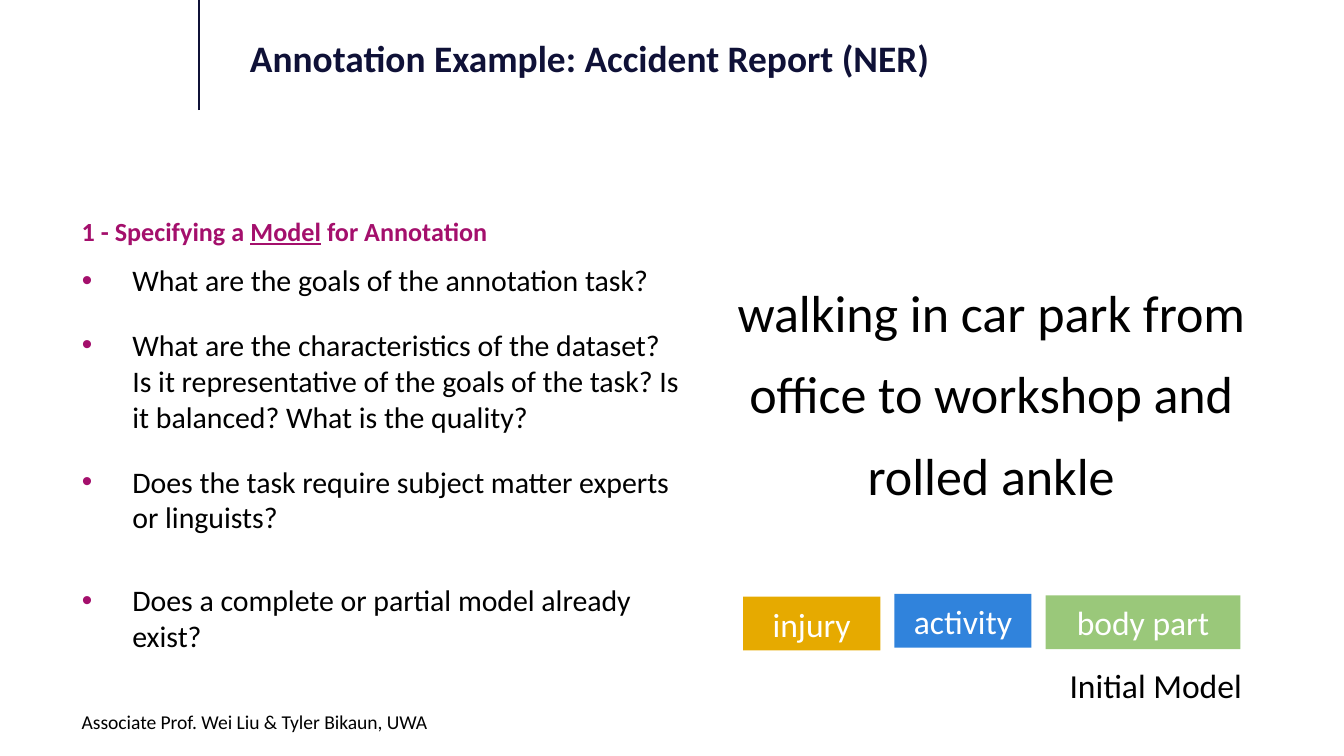
from dataclasses import dataclass

from lxml import etree
from pptx import Presentation
from pptx.dml.color import RGBColor
from pptx.enum.shapes import MSO_CONNECTOR, MSO_SHAPE
from pptx.enum.text import MSO_ANCHOR, MSO_AUTO_SIZE, PP_ALIGN
from pptx.oxml.ns import qn
from pptx.util import Inches, Pt

LEFT, CENTER = PP_ALIGN.LEFT, PP_ALIGN.CENTER
TOP, MIDDLE = MSO_ANCHOR.TOP, MSO_ANCHOR.MIDDLE
FIXED = MSO_AUTO_SIZE.NONE
RECTANGLE = MSO_SHAPE.RECTANGLE
STRAIGHT = MSO_CONNECTOR.STRAIGHT
TITLE_AND_CONTENT = 1
WIDTH = 10
HEIGHT = WIDTH * 9 / 16
COLUMNS = 100


@dataclass(frozen=True)
class Theme:
    font: str = "Calibri"
    navy: str = "0F1137"
    magenta: str = "A40F6C"
    black: str = "000000"
    white: str = "FFFFFF"
    amber: str = "E6AA00"
    blue: str = "3083DC"
    green: str = "9AC87A"
    title: float = 20
    heading: float = 14
    body: float = 16
    sample: float = 27.9
    label: float = 18
    credit: float = 10.5
    rule: float = 1.25


class SlideBuilder:
    def __init__(self, deck, theme):
        self.theme = theme
        self.slide = deck.slides.add_slide(deck.slide_layouts[TITLE_AND_CONTENT])
        self.cell = WIDTH / COLUMNS

    def grid(self, *cells):
        return [Inches(count * self.cell) for count in cells]

    def place(self, holder, area):
        holder.left, holder.top, holder.width, holder.height = self.grid(*area)

    def frame(self, holder, anchor, wrap=True):
        frame = holder.text_frame
        frame.auto_size = FIXED
        frame.word_wrap = wrap
        frame.vertical_anchor = anchor
        return frame

    def run(self, paragraph, words, size, color, bold=False, underline=False):
        piece = paragraph.add_run()
        piece.text = words
        font = piece.font
        font.name = self.theme.font
        font.size = Pt(size)
        font.bold = bold
        font.underline = underline
        font.color.rgb = RGBColor.from_string(color)

    def title(self, words, area):
        heading = self.slide.shapes.title
        self.place(heading, area)
        paragraph = self.frame(heading, TOP).paragraphs[0]
        paragraph.alignment = LEFT
        self.run(paragraph, words, self.theme.title, self.theme.navy, bold=True)

    def bullet(self, paragraph, hang):
        properties = paragraph._p.get_or_add_pPr()
        properties.set("marL", str(hang))
        properties.set("indent", str(-hang))
        tint = etree.SubElement(properties, qn("a:buClr"))
        etree.SubElement(tint, qn("a:srgbClr"), val=self.theme.magenta)
        etree.SubElement(properties, qn("a:buChar"), char="•")

    def bullets(self, items, area, hang):
        body = self.slide.placeholders[1]
        self.place(body, area)
        frame = self.frame(body, TOP)
        for index, (words, space) in enumerate(items):
            paragraph = frame.add_paragraph() if index else frame.paragraphs[0]
            self.bullet(paragraph, self.grid(hang)[0])
            paragraph.space_before = Pt(space)
            self.run(paragraph, words, self.theme.body, self.theme.black)

    def text(self, words, area, size, color=None, align=LEFT,
             bold=False, underlined="", spacing=1, wrap=True):
        box = self.slide.shapes.add_textbox(*self.grid(*area))
        paragraph = self.frame(box, TOP, wrap).paragraphs[0]
        paragraph.alignment = align
        paragraph.line_spacing = spacing
        for part in words:
            self.run(paragraph, part, size, color or self.theme.black,
                     bold, part == underlined)

    def tag(self, words, area, fill):
        block = self.slide.shapes.add_shape(RECTANGLE, *self.grid(*area))
        block.shadow.inherit = False
        block.fill.solid()
        block.fill.fore_color.rgb = RGBColor.from_string(fill)
        block.line.fill.background()
        paragraph = self.frame(block, MIDDLE).paragraphs[0]
        paragraph.alignment = CENTER
        self.run(paragraph, words, self.theme.label, self.theme.white)

    def tags(self, entries, left, height, gap):
        for words, top, width, fill in entries:
            self.tag(words, (left, top, width, height), fill)
            left += width + gap

    def rule(self, ends):
        line = self.slide.shapes.add_connector(STRAIGHT, *self.grid(*ends))
        line.line.width = Pt(self.theme.rule)
        line.line.color.rgb = RGBColor.from_string(self.theme.navy)
        etree.SubElement(line._element.spPr, qn("a:effectLst"))


def main():
    deck = Presentation()
    deck.slide_width, deck.slide_height = Inches(WIDTH), Inches(HEIGHT)
    theme = Theme()
    page = SlideBuilder(deck, theme)

    page.rule((14.8, 8.2, 14.8, 0))
    page.title("Annotation Example: Accident Report (NER)", (17.6, 2.1, 76, 4.9))
    page.text(["Associate Prof. Wei Liu & Tyler Bikaun, UWA"],
              (5.1, 52.3, 76, 2.4), theme.credit)
    page.text(["1 - Specifying a ", "Model", " for Annotation"],
              (5.1, 15.5, 76, 3.7), theme.heading, theme.magenta,
              bold=True, underlined="Model")

    questions = [
        ("What are the goals of the annotation task?", 0),
        ("What are the characteristics of the dataset? Is it representative "
         "of the goals of the task? Is it balanced? What is the quality?", 15.5),
        ("Does the task require subject matter experts or linguists?", 15.5),
        ("Does a complete or partial model already exist?", 25.3),
    ]
    page.bullets(questions, (5.1, 19, 46.5, 33.3), hang=3.75)

    page.text(["walking in car park from office to workshop and rolled ankle"],
              (51.5, 19, 44.5, 20), theme.sample, align=CENTER, spacing=1.3)

    entity_types = [
        ("injury", 44.4, 10.2, theme.amber),
        ("activity", 44.2, 10.2, theme.blue),
        ("body part", 44.3, 14.5, theme.green),
    ]
    page.tags(entity_types, left=55.3, height=4, gap=1.05)
    page.text(["Initial Model"], (78.6, 49, 15, 4), theme.label, wrap=False)

    deck.save("out.pptx")


if __name__ == "__main__":
    main()
